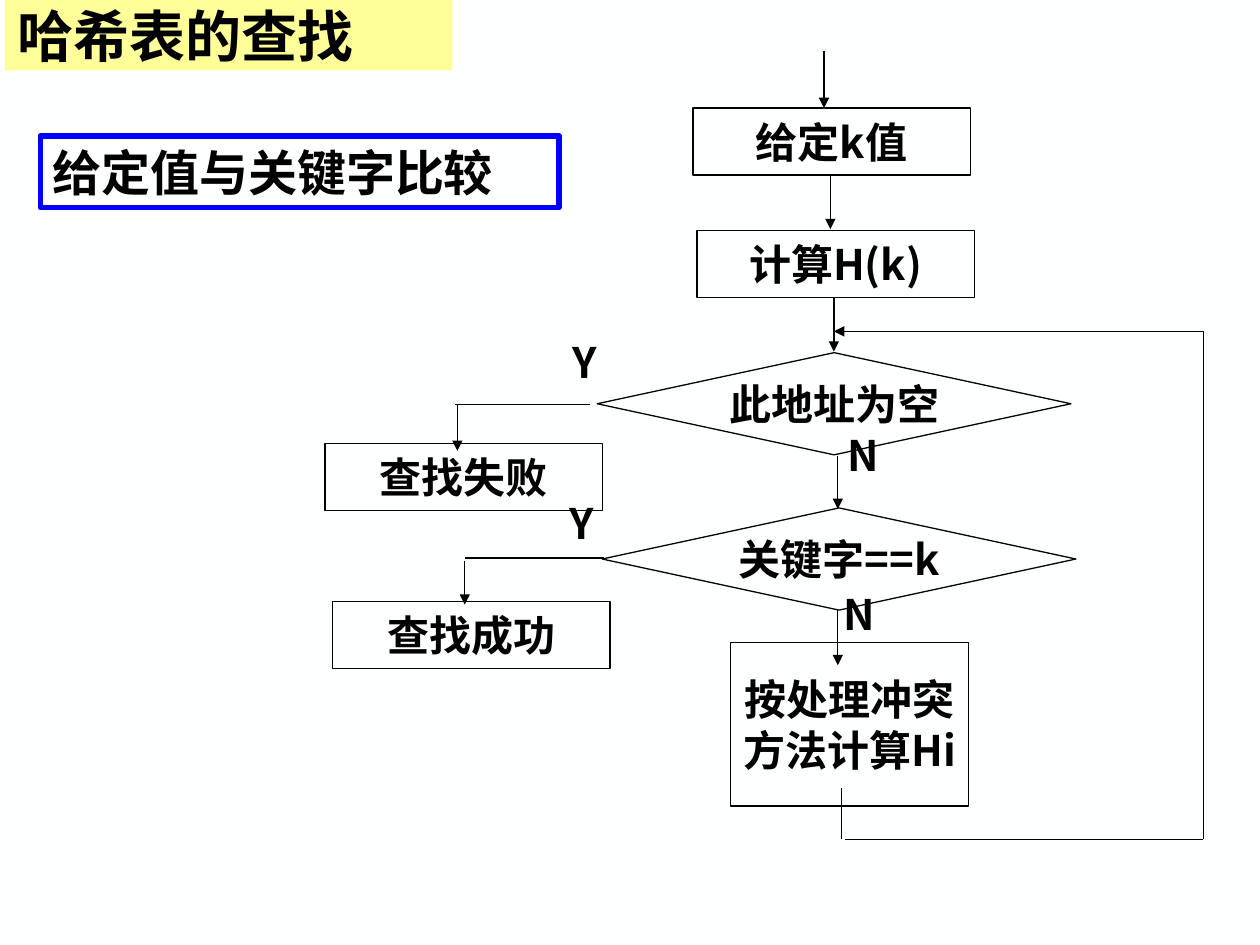
from typing import NamedTuple

from pptx import Presentation
from pptx.dml.color import RGBColor
from pptx.enum.shapes import MSO_CONNECTOR as Link, MSO_SHAPE as Preset
from pptx.enum.text import MSO_ANCHOR as Anchor, MSO_AUTO_SIZE as Fit, PP_ALIGN as Align
from pptx.oxml.ns import qn
from pptx.util import Cm, Pt

FONT = "Noto Sans CJK SC"
BLACK, BLUE, YELLOW, PAPER = "000000", "0000FF", "FFFF99", "FEFFFF"


class Node(NamedTuple):
    text: str
    left: float
    top: float
    width: float = 5.59
    height: float = 1.35
    preset: Preset = Preset.FLOWCHART_PROCESS
    wrap: bool = False


class Line(NamedTuple):
    x1: float
    y1: float
    x2: float
    y2: float
    arrow: bool = False


class Label(NamedTuple):
    text: str
    left: float
    top: float
    width: float


DECISION = {"width": 9.55, "height": 2.06, "preset": Preset.FLOWCHART_DECISION}

NODES = [
    Node("给定k值", 13.97, 2.18),
    Node("计算H(k)", 14.05, 4.65),
    Node("此地址为空", 12.04, 7.11, **DECISION),
    Node("关键字==k", 12.14, 10.24, **DECISION),
    Node("查找失败", 6.55, 8.94),
    Node("查找成功", 6.71, 12.12),
    Node("按处理冲突\n方法计算Hi", 14.73, 12.95, 4.8, 3.3, wrap=True),
]

LINES = [
    # Main flow downwards
    Line(16.61, 1.02, 16.61, 2.18, True),
    Line(16.74, 3.53, 16.74, 4.62, True),
    Line(16.81, 5.99, 16.81, 7.09, True),
    Line(16.89, 9.19, 16.89, 10.26, True),
    Line(16.89, 12.29, 16.89, 13.41, True),
    # Branches to the two results
    Line(11.89, 8.15, 9.17, 8.15),
    Line(9.22, 8.15, 9.22, 9.09, True),
    Line(12.17, 11.25, 9.37, 11.25),
    Line(9.37, 11.3, 9.37, 12.19, True),
    # Loop back to the address test
    Line(16.97, 15.88, 16.97, 16.92),
    Line(17.04, 16.92, 24.26, 16.92),
    Line(24.26, 16.92, 24.26, 6.68),
    Line(24.26, 6.68, 16.81, 6.68, True),
]

LABELS = [
    Label("Y", 11.3, 6.65, 1.04),
    Label("N", 16.84, 8.53, 1.19),
    Label("Y", 11.23, 9.91, 1.04),
    Label("N", 16.76, 11.73, 1.19),
]


def color(value: str) -> RGBColor:
    return RGBColor.from_string(value)


def write(box, text: str, size: int = 24, align=Align.LEFT, **frame_format) -> None:
    frame = box.text_frame
    frame.text = text
    settings = {"word_wrap": True, "auto_size": Fit.NONE,
                "vertical_anchor": Anchor.MIDDLE} | frame_format
    for name, value in settings.items():
        setattr(frame, name, value)
    for para in frame.paragraphs:
        para.alignment = align
        for span in para.runs:
            for name, value in {"size": Pt(size), "bold": True, "name": FONT}.items():
                setattr(span.font, name, value)
            span.font.color.rgb = color(BLACK)
            # East Asian characters need their own typeface entry
            east_asian = span.font._element.makeelement(qn("a:ea"), {"typeface": FONT})
            span.font._element.find(qn("a:latin")).addnext(east_asian)


def add_outlined(page, preset, left: float, top: float, width: float, height: float,
                 line_color: str = BLACK, line_width: float = 0.75):
    box = page.shapes.add_shape(preset, Cm(left), Cm(top), Cm(width), Cm(height))
    box.shadow.inherit = False
    box.fill.background()
    box.line.color.rgb = color(line_color)
    box.line.width = Pt(line_width)
    return box


def add_node(page, node: Node) -> None:
    box = add_outlined(page, node.preset, node.left, node.top, node.width, node.height)
    write(box, node.text, align=Align.CENTER, word_wrap=node.wrap)


def add_line(page, line: Line) -> None:
    ends = (Cm(value) for value in line[:4])
    connector = page.shapes.add_connector(Link.STRAIGHT, *ends)
    connector.line.color.rgb = color(BLACK)
    connector.line.width = Pt(0.75)
    properties = connector._element.spPr
    properties.append(properties.makeelement(qn("a:effectLst"), {}))
    if line.arrow:
        stroke = connector.line._get_or_add_ln()
        stroke.append(stroke.makeelement(qn("a:tailEnd"), {"type": "triangle"}))


def add_label(page, label: Label) -> None:
    box = page.shapes.add_textbox(Cm(label.left), Cm(label.top), Cm(label.width), Cm(1.27))
    write(box, label.text, word_wrap=False, vertical_anchor=Anchor.TOP,
          auto_size=Fit.SHAPE_TO_FIT_TEXT)


def main() -> None:
    deck = Presentation()
    deck.slide_width, deck.slide_height = Cm(25.4), Cm(19.05)
    page = deck.slides.add_slide(deck.slide_layouts[5])
    page.background.fill.solid()
    page.background.fill.fore_color.rgb = color(PAPER)

    # Title band
    title = page.shapes.title
    place = {"left": 0.1, "top": 0, "width": 9.02, "height": 1.42}
    for name, value in place.items():
        setattr(title, name, Cm(value))
    title.fill.solid()
    title.fill.fore_color.rgb = color(YELLOW)
    write(title, "哈希表的查找", size=32)

    # Flowchart
    for node in NODES:
        add_node(page, node)
    for line in LINES:
        add_line(page, line)
    for label in LABELS:
        add_label(page, label)

    # Blue framed remark
    remark = add_outlined(page, Preset.RECTANGLE, 0.81, 2.74, 10.46, 1.45, BLUE, 3)
    write(remark, "给定值与关键字比较", size=28, vertical_anchor=Anchor.TOP,
          auto_size=Fit.SHAPE_TO_FIT_TEXT)

    deck.save("out.pptx")


if __name__ == "__main__":
    main()
